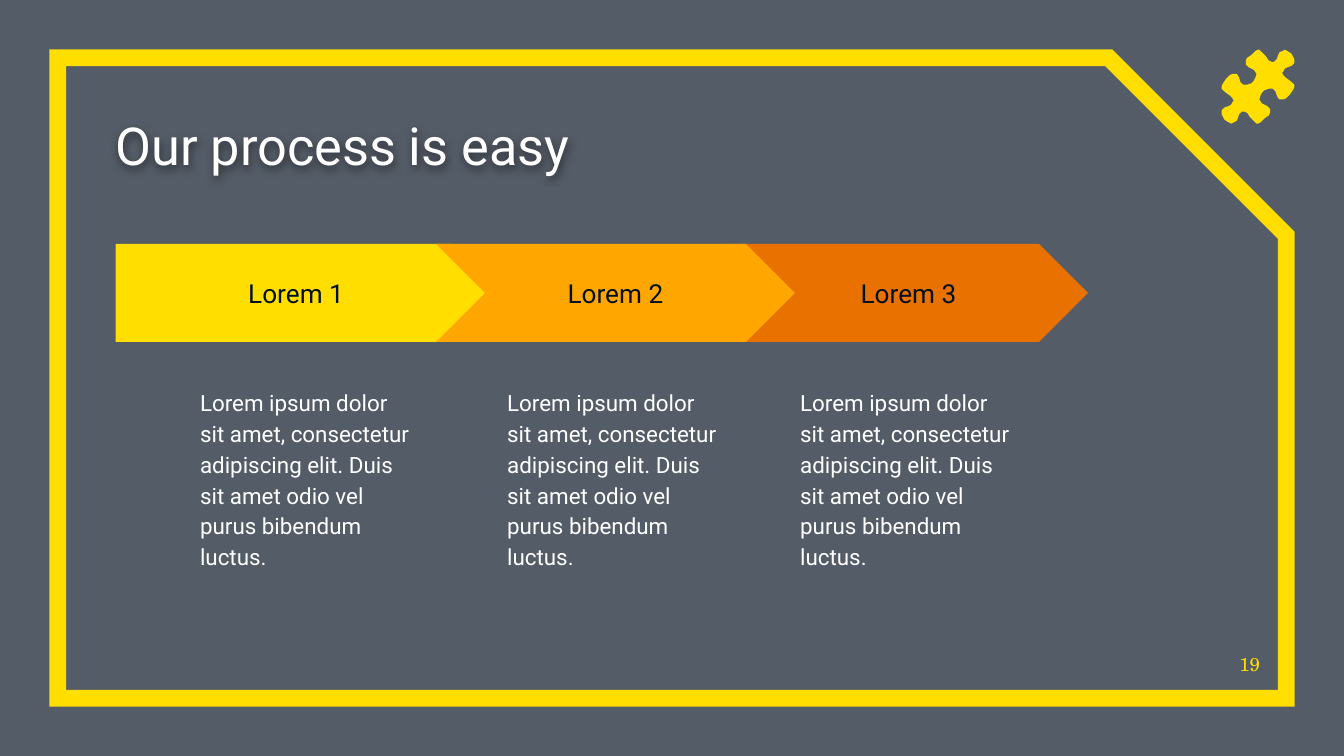
from dataclasses import dataclass

from lxml.etree import SubElement
from pptx import Presentation
from pptx.dml.color import RGBColor
from pptx.enum.shapes import MSO_SHAPE
from pptx.enum.text import MSO_ANCHOR, PP_ALIGN
from pptx.oxml import parse_xml
from pptx.oxml.ns import nsdecls, qn
from pptx.util import Inches, Pt

# The grid has square cells: 100 columns on a 16:9 slide
CELL = 0.1
COLUMNS = 100
ROWS = COLUMNS * 9 / 16

YELLOW, AMBER, ORANGE = "FFDE00", "FFA700", "E97100"
NAVY, WHITE = "040F20", "FFFFFF"
FRAME_HEIGHT, FRAME_CUT = 47.65, 13.2
ARROW_TOP, ARROW_HEIGHT = 18.15, 7.3
DETAIL_TOP, DETAIL_WIDTH, DETAIL_HEIGHT = 27.65, 18.1, 15.6
DETAIL = ("Lorem ipsum dolor sit amet, consectetur adipiscing elit. "
          "Duis sit amet odio vel purus bibendum luctus.")

# Half of the puzzle outline in hundredths of an inch; a half turn gives the rest
PUZZLE_WIDTH, PUZZLE_HEIGHT = 54, 55
PUZZLE_HALF = [
    (27, 0), (25, 1), (22, 4), (19, 6), (18, 8), (18, 11), (20, 13), (22, 14),
    (24, 15), (26, 18), (25, 21), (24, 23), (22, 25), (19, 26), (16, 26),
    (14, 24), (13, 21), (12, 19), (11, 18), (8, 18), (6, 19), (3, 22), (1, 25),
    (0, 27), (0, 29), (2, 31), (6, 34), (8, 36), (9, 38), (8, 39), (7, 41),
    (5, 42), (2, 43), (0, 45), (0, 48), (1, 50), (2, 52), (5, 54), (7, 55),
    (9, 54), (11, 53), (12, 51), (13, 48), (15, 46), (17, 46), (19, 47),
    (21, 50), (24, 53), (26, 55),
]


@dataclass
class Box:
    left: float
    top: float
    width: float
    height: float

    def place(self) -> list:
        return [cells(n) for n in (self.left, self.top, self.width, self.height)]


@dataclass
class Step:
    label: str
    outline: MSO_SHAPE
    color: str
    left: float
    width: float
    detail_left: float


# From back to front
STEPS = [
    Step("Lorem 3", MSO_SHAPE.CHEVRON, ORANGE, 54.25, 26.7, 58.55),
    Step("Lorem 1", MSO_SHAPE.PENTAGON, YELLOW, 8.6, 28.7, 13.9),
    Step("Lorem 2", MSO_SHAPE.CHEVRON, AMBER, 32.45, 26.7, 36.75),
]


def cells(count: float) -> int:
    return Inches(count * CELL)


def rgb(color: str) -> RGBColor:
    return RGBColor.from_string(color)


def write(shape, text: str, *, size: float, color: str, font: str = "Roboto",
          align=PP_ALIGN.LEFT, anchor=MSO_ANCHOR.TOP, inset: float = 0,
          spacing: float = 1.0) -> None:
    frame = shape.text_frame
    frame.word_wrap = True
    frame.vertical_anchor = anchor
    frame.margin_left = frame.margin_right = cells(inset)
    frame.margin_top = frame.margin_bottom = cells(inset)
    paragraph = frame.paragraphs[0]
    paragraph.alignment = align
    paragraph.line_spacing = spacing
    run = paragraph.add_run()
    run.text = text
    run.font.size = Pt(size)
    run.font.name = font
    run.font.color.rgb = rgb(color)


def fill_plain(shape, color: str) -> None:
    shape.shadow.inherit = False
    shape.fill.solid()
    shape.fill.fore_color.rgb = rgb(color)
    shape.line.fill.background()


def add_shape(slide, outline: MSO_SHAPE, box: Box, color: str):
    shape = slide.shapes.add_shape(outline, *box.place())
    fill_plain(shape, color)
    return shape


def add_backdrop(slide) -> None:
    slide.background.fill.solid()
    slide.background.fill.fore_color.rgb = rgb(WHITE)
    veil = add_shape(slide, MSO_SHAPE.RECTANGLE, Box(0, 0, COLUMNS, ROWS), NAVY)
    tint = veil.fill._xPr.find(qn("a:solidFill"))[0]
    SubElement(tint, qn("a:alpha")).set("val", "68000")


def add_frame(slide) -> None:
    frame = add_shape(slide, MSO_SHAPE.SNIP_1_RECTANGLE,
                      Box(4.3, 4.3, 91.4, FRAME_HEIGHT), YELLOW)
    frame.adjustments[0] = FRAME_CUT / FRAME_HEIGHT
    frame.fill.background()
    frame.line.color.rgb = rgb(YELLOW)
    frame.line.width = Pt(9)
    SubElement(frame.line._get_or_add_ln(), qn("a:miter")).set("lim", "800000")


def add_title(slide) -> None:
    title = slide.shapes.add_textbox(*Box(8.6, 7.8, 73.5, 5.3).place())
    write(title, "Our process is easy", size=28, color=WHITE,
          anchor=MSO_ANCHOR.BOTTOM)
    # On an unfilled box the shadow falls from the letters
    title._element.spPr.append(parse_xml(
        f'<a:effectLst {nsdecls("a")}><a:outerShdw blurRad="57150" dist="19050" '
        'dir="5400000" algn="bl" rotWithShape="0"><a:srgbClr val="000000">'
        '<a:alpha val="50000"/></a:srgbClr></a:outerShdw></a:effectLst>'))


def add_puzzle(slide) -> None:
    turned = [(PUZZLE_WIDTH - x, PUZZLE_HEIGHT - y) for x, y in PUZZLE_HALF]
    outline = PUZZLE_HALF + turned
    builder = slide.shapes.build_freeform(*outline[0], scale=Inches(0.01))
    builder.add_line_segments(outline[1:], close=True)
    fill_plain(builder.convert_to_shape(cells(90.9), cells(3.7)), YELLOW)


def add_step(slide, step: Step) -> None:
    arrow = add_shape(slide, step.outline,
                      Box(step.left, ARROW_TOP, step.width, ARROW_HEIGHT),
                      step.color)
    arrow.adjustments[0] = 0.5
    write(arrow, step.label, size=14, color=NAVY, align=PP_ALIGN.CENTER,
          anchor=MSO_ANCHOR.MIDDLE, inset=1)
    detail = slide.shapes.add_textbox(
        *Box(step.detail_left, DETAIL_TOP, DETAIL_WIDTH, DETAIL_HEIGHT).place())
    write(detail, DETAIL, size=12, color=WHITE, inset=1, spacing=1.15)


def main() -> None:
    deck = Presentation()
    deck.slide_width, deck.slide_height = cells(COLUMNS), cells(ROWS)
    slide = deck.slides.add_slide(deck.slide_layouts[6])

    add_backdrop(slide)
    add_frame(slide)
    add_title(slide)

    # Page number
    number = slide.shapes.add_textbox(*Box(91.05, 47.45, 2.7, 2.8).place())
    write(number, "19", size=10, color=YELLOW, font="TeX Gyre Schola",
          align=PP_ALIGN.RIGHT, anchor=MSO_ANCHOR.BOTTOM)

    add_puzzle(slide)
    for step in STEPS:
        add_step(slide, step)
    deck.save("out.pptx")


if __name__ == "__main__":
    main()
